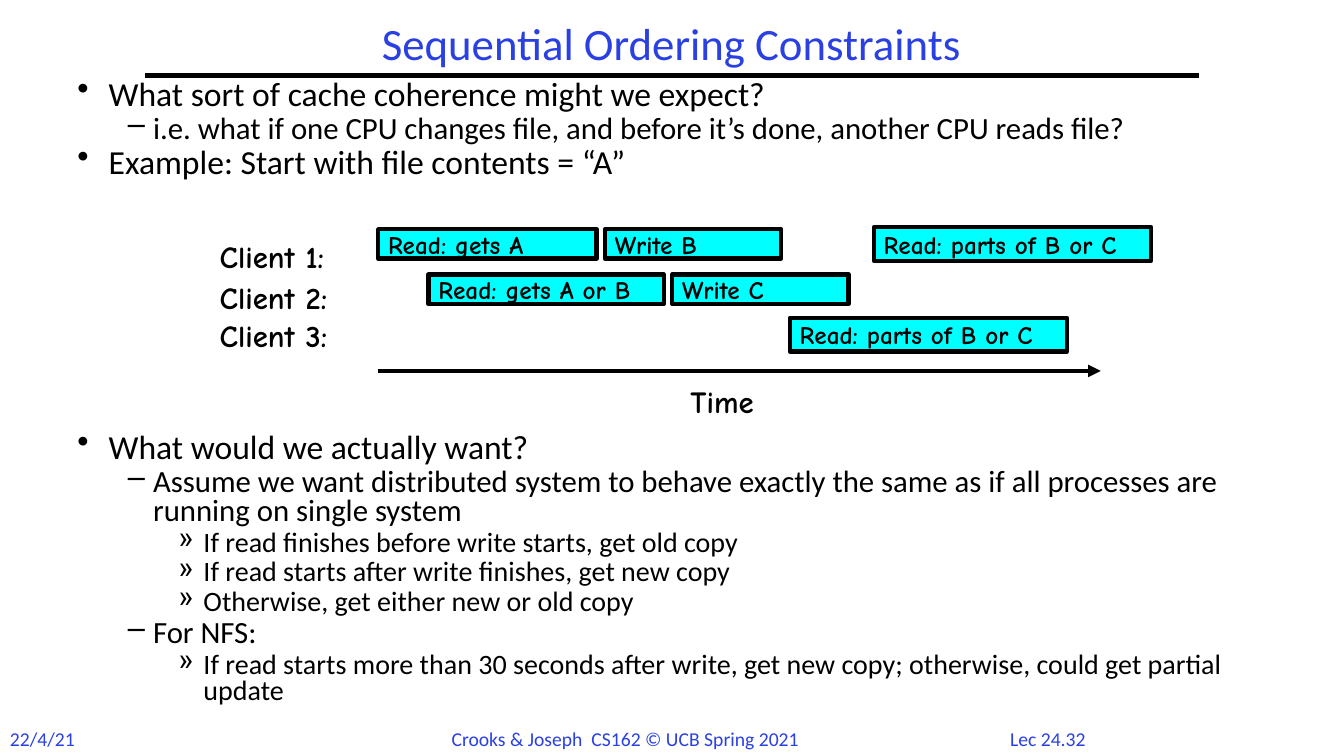
from lxml.etree import SubElement
from pptx import Presentation
from pptx.dml.color import RGBColor
from pptx.enum.shapes import MSO_CONNECTOR, MSO_SHAPE
from pptx.enum.text import MSO_ANCHOR, MSO_AUTO_SIZE, PP_ALIGN
from pptx.oxml.ns import qn
from pptx.util import Inches, Pt

BLUE = RGBColor(0x2A, 0x40, 0xE2)
CYAN = RGBColor(0x00, 0xFF, 0xFF)
BLACK = RGBColor(0x00, 0x00, 0x00)
SANS, COMIC = "Calibri", "Comic Neue"
CELL = 1 / 12  # grid column in inches

deck = Presentation()
deck.slide_width, deck.slide_height = Inches(13.33), Inches(7.5)
slide = deck.slides.add_slide(deck.slide_layouts[5])
shapes = slide.shapes


def write(par, text, size, color=BLACK, face=SANS, bold=False):
    run = par.add_run()
    run.text = text
    font = run.font
    font.size, font.name, font.bold = Pt(size), face, bold
    font.color.rgb = color


def rule(left, right, y):
    """Draw a thick level line and return its line element."""
    line = shapes.add_connector(MSO_CONNECTOR.STRAIGHT, Inches(left),
                                Inches(y), Inches(right), Inches(y))
    line.line.color.rgb, line.line.width = BLACK, Pt(3)
    props = line._element.spPr
    SubElement(props, qn("a:effectLst"))
    return props.find(qn("a:ln"))


# Title and the rule below it
title = shapes.title
title.left, title.top = Inches(1.44), Inches(0.17)
title.width, title.height = Inches(10.44), Inches(0.58)
frame = title.text_frame
frame.auto_size, frame.vertical_anchor = MSO_AUTO_SIZE.NONE, MSO_ANCHOR.MIDDLE
par = frame.paragraphs[0]
par.alignment, par.line_spacing = PP_ALIGN.CENTER, 0.9
write(par, "Sequential Ordering Constraints", 32, BLUE)
rule(1.44, 11.89, 0.75)

# Bullets above and below the timeline
LEVELS = [("•", 24, 0.31, 0.31), ("–", 22, 0.75, 0.25), ("»", 20, 1.25, 0.25)]
BODY = [
    (0.75, 1.2, [
        (0, "What sort of cache coherence might we expect?"),
        (1, "i.e. what if one CPU changes file, and before it’s done, "
            "another CPU reads file?"),
        (0, "Example: Start with file contents = “A”"),
    ]),
    (4.25, 3.05, [
        (0, "What would we actually want?"),
        (1, "Assume we want distributed system to behave exactly the same "
            "as if all processes are running on single system"),
        (2, "If read finishes before write starts, get old copy"),
        (2, "If read starts after write finishes, get new copy"),
        (2, "Otherwise, get either new or old copy"),
        (1, "For NFS:"),
        (2, "If read starts more than 30 seconds after write, get new copy; "
            "otherwise, could get partial update"),
    ]),
]
for top, height, items in BODY:
    frame = shapes.add_textbox(Inches(0.67), Inches(top), Inches(12),
                               Inches(height)).text_frame
    frame.word_wrap = True
    for i, (level, text) in enumerate(items):
        mark, size, left, hang = LEVELS[level]
        par = frame.add_paragraph() if i else frame.paragraphs[0]
        props = par._p.get_or_add_pPr()
        props.set("marL", str(Inches(left)))
        props.set("indent", str(-Inches(hang)))
        SubElement(props, qn("a:buChar"), char=mark)
        par.level, par.line_spacing = level, 0.8
        par.space_before = Pt(size / 10 if i else 0)
        write(par, text, size)

# Timeline bars: client row, first column, columns wide, rows high
BARS = [
    (0, 45, 26, 3.5, "Read: gets A"),
    (0, 72, 21, 3.5, "Write B"),
    (0, 104, 33, 4, "Read: parts of B or C"),
    (1, 51, 28, 3.5, "Read: gets A or B"),
    (1, 80, 21, 3.5, "Write C"),
    (2, 94, 33, 4, "Read: parts of B or C"),
]
for row, col, wide, high, text in BARS:
    mid = 2.42 + 0.45 * row
    bar = shapes.add_shape(MSO_SHAPE.RECTANGLE, Inches(col * CELL),
                           Inches(mid - high * CELL / 2),
                           Inches(wide * CELL), Inches(high * CELL))
    bar.shadow.inherit = False
    bar.fill.solid()
    bar.fill.fore_color.rgb = CYAN
    bar.line.color.rgb, bar.line.width = BLACK, Pt(3)
    frame = bar.text_frame
    frame.word_wrap, frame.vertical_anchor = False, MSO_ANCHOR.MIDDLE
    par = frame.paragraphs[0]
    par.alignment = PP_ALIGN.LEFT
    write(par, text, 18, face=COMIC, bold=True)

axis = rule(45 * CELL, 131 * CELL, 3.68)
SubElement(axis, qn("a:tailEnd"), type="triangle")

# Timeline labels and footer
LABEL = (22, BLACK, COMIC, True)
FOOT = (14, BLUE)
NOTES = [
    (2.08, 2.31, 1.49, 0.47, "Client 1:", LABEL),
    (2.08, 2.72, 1.49, 0.47, "Client 2:", LABEL),
    (2.08, 3.09, 1.49, 0.47, "Client 3:", LABEL),
    (6.75, 3.75, 0.91, 0.47, "Time", LABEL),
    (0, 7.16, 0.85, 0.34, "22/4/21", FOOT),
    (4.38, 7.16, 3.68, 0.34, "Crooks & Joseph  CS162 © UCB Spring 2021", FOOT),
    (9.92, 7.16, 1.08, 0.34, "Lec 24.32", FOOT),
]
for left, top, width, height, text, style in NOTES:
    frame = shapes.add_textbox(Inches(left), Inches(top), Inches(width),
                               Inches(height)).text_frame
    frame.word_wrap, frame.auto_size = False, MSO_AUTO_SIZE.SHAPE_TO_FIT_TEXT
    write(frame.paragraphs[0], text, *style)

deck.save("out.pptx")
